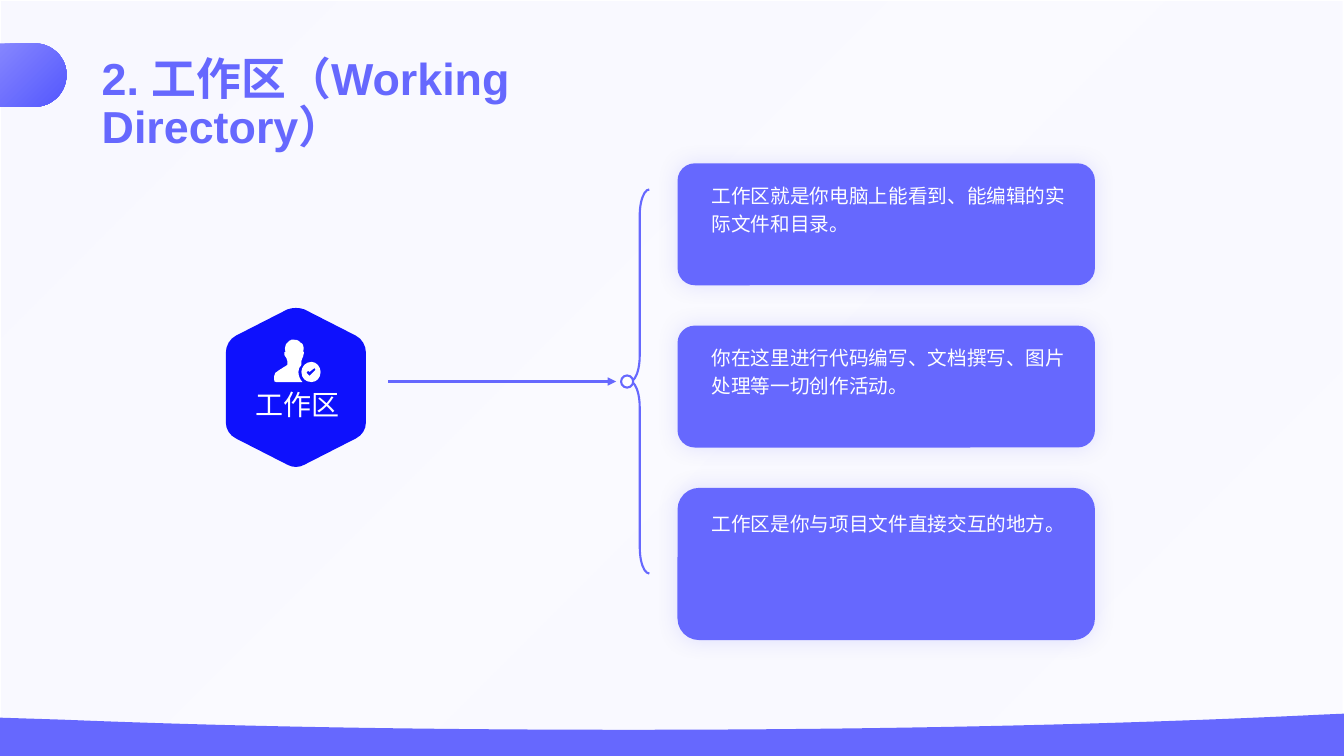
import collections

import pptx
import pptx.dml.color
import pptx.enum.shapes
import pptx.enum.text
import pptx.oxml
import pptx.oxml.ns
import pptx.util

RGBColor = pptx.dml.color.RGBColor
Inches = pptx.util.Inches
MSO_SHAPE = pptx.enum.shapes.MSO_SHAPE
PP_ALIGN = pptx.enum.text.PP_ALIGN
qn = pptx.oxml.ns.qn

VIOLET = RGBColor(0x66, 0x68, 0xFE)
LIGHT_VIOLET = RGBColor(0x85, 0x86, 0xFE)
DARK_VIOLET = RGBColor(0x54, 0x57, 0xFE)
MIST = RGBColor(0xF7, 0xF7, 0xFF)
GLOW = RGBColor(0x75, 0x77, 0xFE)
BLUE = RGBColor(0x0E, 0x11, 0xFD)
WHITE = RGBColor(0xFF, 0xFF, 0xFF)
FONT = "Arial"

# Gradient stops: position, colour, opacity, all in percent
BACKDROP_STOPS = [(0, VIOLET, 2), (0, LIGHT_VIOLET, 5), (100, VIOLET, 2)]
PILL_STOPS = [(0, MIST, 100), (0, LIGHT_VIOLET, 100), (100, DARK_VIOLET, 100)]

WIDTH, HEIGHT = 13.33, 7.5
Box = collections.namedtuple("Box", "left top width height")

# Outlines in hundredths of an inch: two numbers are a corner, six a cubic curve
WAVE = [[(1333, 0), (1333, 42), (0, 42), (0, 4), (63, 6),
         (235, 13, 425, 16, 624, 16), (872, 16, 1106, 11, 1310, 1)]]
PILL = [[(0, 0), (34, 0), (52, 0, 66, 14, 66, 31), (66, 49, 52, 63, 34, 63), (0, 63)]]
HEXAGON = [[(78, 2), (129, 28), (135, 31, 139, 38, 139, 45),
            (139, 114), (139, 121, 135, 127, 129, 130),
            (78, 156), (73, 159, 66, 159, 61, 156),
            (10, 130), (4, 127, 0, 121, 0, 114),
            (0, 45), (0, 38, 4, 31, 10, 28), (61, 2), (66, 0, 73, 0, 78, 2)]]
# Check mark, badge, person
USER_ICON = [
    [(40, 28), (35, 32), (34, 31), (32, 32), (33, 34), (35, 36), (37, 34), (41, 30)],
    [(37, 22), (42, 22, 46, 27, 46, 32), (46, 38, 42, 42, 37, 42),
     (31, 42, 27, 38, 27, 32), (27, 27, 31, 22, 37, 22)],
    [(19, 0), (21, 0, 23, 0, 24, 1), (26, 2, 26, 3, 26, 3), (26, 3, 30, 3, 29, 11),
     (29, 11, 29, 11, 29, 12), (29, 12, 30, 12, 29, 15), (29, 17, 28, 18, 28, 18),
     (28, 19, 27, 20, 27, 21), (27, 25), (25, 27, 24, 29, 24, 32),
     (24, 36, 26, 40, 28, 42), (2, 42), (0, 42, 0, 41, 0, 40), (0, 36),
     (0, 35, 0, 34, 1, 33), (6, 29, 12, 26, 13, 25), (13, 25, 13, 25, 13, 25),
     (13, 21), (13, 20, 12, 19, 12, 18), (12, 18, 11, 17, 10, 15),
     (10, 12, 10, 12, 11, 12), (11, 11, 11, 11, 11, 11), (11, 10, 10, 8, 11, 7),
     (11, 5, 12, 4, 13, 3), (14, 2, 14, 2, 15, 1), (16, 1, 17, 0, 17, 0),
     (18, 0, 19, 0, 19, 0)],
]

CARDS = [
    ("工作区就是你电脑上能看到、能编辑的实际文件和目录。", 1.21),
    ("你在这里进行代码编写、文档撰写、图片处理等一切创作活动。", 1.21),
    ("工作区是你与项目文件直接交互的地方。", 1.51),
]
CARD_PITCH = 1.61


def inches(box):
    return [Inches(length) for length in box]


def part(box, left, top, width, height):
    """Return the box that takes the given shares of another box."""
    return Box(box.left + left * box.width, box.top + top * box.height,
               width * box.width, height * box.height)


def drawing(name, attributes="", content=""):
    return pptx.oxml.parse_xml(
        f'<a:{name} {pptx.oxml.ns.nsdecls("a")} {attributes}>{content}</a:{name}>')


def paint(shape, fill=None, line=None, weight=1.5):
    shape.shadow.inherit = False
    if fill is None:
        shape.fill.background()
    elif isinstance(fill, list):
        shape.fill.gradient()
        shape.fill.gradient_angle = 315
        stop_list = shape._element.spPr.find(".//" + qn("a:gsLst"))
        for stop in list(stop_list):
            stop_list.remove(stop)
        for position, color, opacity in fill:
            alpha = f'<a:alpha val="{opacity * 1000}"/>' if opacity < 100 else ""
            stop_list.append(drawing("gs", f'pos="{position * 1000}"',
                                     f'<a:srgbClr val="{color}">{alpha}</a:srgbClr>'))
    else:
        shape.fill.solid()
        shape.fill.fore_color.rgb = fill
    if line is None:
        shape.line.fill.background()
    else:
        shape.line.color.rgb = line
        shape.line.width = pptx.util.Pt(weight)


def add_preset(shapes, kind, box, fill=None, line=None, weight=1.5):
    shape = shapes.add_shape(kind, *inches(box))
    paint(shape, fill, line, weight)
    return shape


def add_outline(shapes, contours, box, fill):
    """Build a freeform filling the box, then give it the curved contours."""
    right, bottom = round(box.width * 100), round(box.height * 100)
    builder = shapes.build_freeform(0, 0, scale=Inches(0.01))
    builder.add_line_segments([(right, 0), (right, bottom), (0, bottom)])
    shape = builder.convert_to_shape(Inches(box.left), Inches(box.top))
    outline = shape._element.spPr.find(".//" + qn("a:path"))
    for command in list(outline):
        outline.remove(command)
    for contour in contours:
        for number, piece in enumerate(contour):
            name = "cubicBezTo" if len(piece) == 6 else "lnTo" if number else "moveTo"
            points = "".join(f'<a:pt x="{x}" y="{y}"/>'
                             for x, y in zip(piece[::2], piece[1::2]))
            outline.append(drawing(name, content=points))
        outline.append(drawing("close"))
    paint(shape, fill)


def add_text(shapes, box, text, size, color, bold=False, align=PP_ALIGN.LEFT,
             spacing=1.0, inset=True):
    frame = shapes.add_textbox(*inches(box)).text_frame
    frame.word_wrap = True
    frame.auto_size = pptx.enum.text.MSO_AUTO_SIZE.SHAPE_TO_FIT_TEXT
    if not inset:
        frame.margin_left = frame.margin_right = 0
        frame.margin_top = frame.margin_bottom = 0
    paragraph = frame.paragraphs[0]
    paragraph.alignment = align
    paragraph.line_spacing = spacing
    run = paragraph.add_run()
    run.text = text
    run.font.name = FONT
    run.font.size = pptx.util.Pt(size)
    run.font.bold = bold
    run.font.color.rgb = color


def add_backdrop(shapes, box):
    add_preset(shapes, MSO_SHAPE.RECTANGLE, box, BACKDROP_STOPS, WHITE, 1)
    add_outline(shapes, WAVE, part(box, 0, 0.944, 1, 0.056), VIOLET)
    add_outline(shapes, PILL, Box(box.left, box.top + 0.43, 0.66, 0.63), PILL_STOPS)


def add_topic(shapes, box):
    add_outline(shapes, HEXAGON, box, BLUE)
    add_text(shapes, part(box, 0.18, 0.5, 0.66, 0.21), "工作区", 20, WHITE,
             align=PP_ALIGN.CENTER, inset=False)
    add_outline(shapes, USER_ICON, Box(box.left + 0.48, box.top + 0.32, 0.47, 0.42), WHITE)


def add_branch(shapes, box):
    """Arrow, brace and the ring where they meet."""
    middle = box.top + box.height / 2
    arrow = shapes.add_connector(
        pptx.enum.shapes.MSO_CONNECTOR.STRAIGHT, Inches(box.left), Inches(middle),
        Inches(box.left + 2.26), Inches(middle))
    arrow.line.color.rgb = VIOLET
    arrow.line.width = pptx.util.Pt(2)
    arrow._element.spPr.find(qn("a:ln")).append(drawing("tailEnd", 'type="triangle"'))
    arrow._element.spPr.append(drawing("effectLst"))

    brace_box = Box(box.left + box.width - 0.19, box.top, 0.19, box.height)
    brace = add_preset(shapes, MSO_SHAPE.LEFT_BRACE, brace_box, line=VIOLET)
    brace.adjustments[0] = 1.36
    brace.adjustments[1] = 0.5
    add_preset(shapes, MSO_SHAPE.OVAL, Box(brace_box.left - 0.09, middle - 0.06, 0.12, 0.12),
               WHITE, VIOLET)


def add_card(shapes, box, text):
    group = shapes.add_group_shape().shapes
    card = add_preset(group, MSO_SHAPE.ROUNDED_RECTANGLE, box, VIOLET)
    card.adjustments[0] = 0.142
    card._element.spPr.find(qn("a:effectLst")).append(drawing(
        "outerShdw", f'blurRad="{pptx.util.Pt(15)}" dist="0"',
        f'<a:srgbClr val="{GLOW}"><a:alpha val="20000"/></a:srgbClr>'))
    add_text(group, part(box, 0.082, 0.13, 0.877, 0.44), text, 14, WHITE,
             spacing=1.2, inset=False)


def main():
    presentation = pptx.Presentation()
    presentation.slide_width = Inches(WIDTH)
    presentation.slide_height = Inches(HEIGHT)
    slide = presentation.slides.add_slide(presentation.slide_layouts[6])
    shapes = slide.shapes

    add_backdrop(shapes, Box(0, 0, WIDTH, HEIGHT))
    add_text(shapes, Box(0.91, 0.51, 6.61, 0.59), "2. 工作区（Working Directory）",
             32, VIOLET, bold=True, spacing=0.9)
    add_topic(shapes, Box(2.24, 3.05, 1.4, 1.58))
    add_branch(shapes, Box(3.85, 1.88, 2.59, 3.81))
    for row, (text, height) in enumerate(CARDS):
        add_card(shapes, Box(6.72, 1.62 + row * CARD_PITCH, 4.14, height), text)

    presentation.save("out.pptx")


if __name__ == "__main__":
    main()
